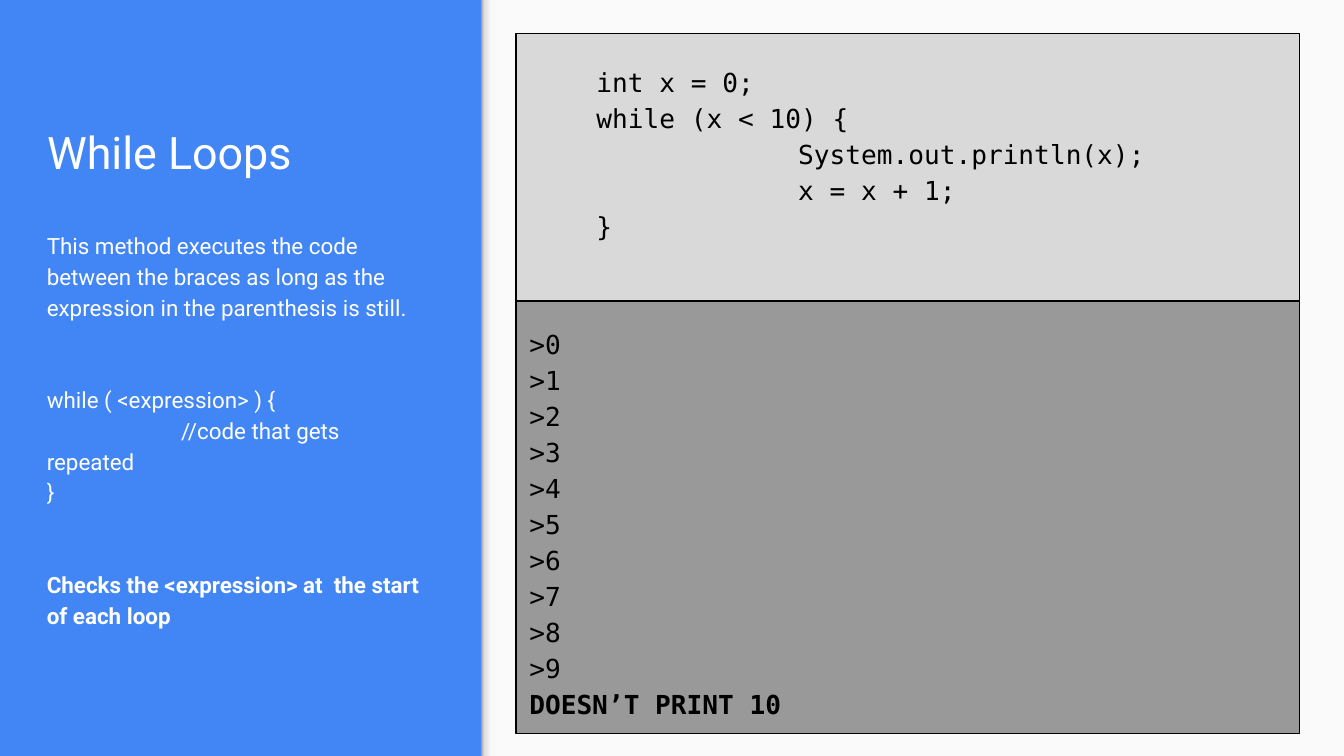
from lxml.etree import SubElement
from pptx import Presentation
from pptx.dml.color import RGBColor
from pptx.enum.shapes import MSO_SHAPE
from pptx.enum.text import MSO_ANCHOR, PP_ALIGN
from pptx.oxml.ns import qn
from pptx.util import Inches, Pt

BLUE, PAPER, WHITE, BLACK = "4285F4", "FAFAFA", "FFFFFF", "000000"
CODE_GREY, OUTPUT_GREY = "D9D9D9", "999999"
EDGE_STOPS = [(0, "999999"), (20, "DEDEDE"), (64, "F9F9F9"), (100, "F9F9F9")]
SANS, MONO = "Roboto", "DejaVu Sans Mono"
WIDTH = 10
HEIGHT = WIDTH * 9 / 16
SPLIT = 3.58


def rgb(value):
    return RGBColor.from_string(value)


def add_rect(slide, box, fill, line=None):
    rect = slide.shapes.add_shape(MSO_SHAPE.RECTANGLE, *map(Inches, box))
    rect.shadow.inherit = False
    rect.fill.solid()
    rect.fill.fore_color.rgb = rgb(fill)
    if line:
        rect.line.color.rgb = rgb(line)
        rect.line.width = Pt(0.75)
    else:
        rect.line.fill.background()
    return rect


def set_frame(frame, anchor, top=0.1, bottom=0.1):
    frame.word_wrap = True
    frame.vertical_anchor = anchor
    frame.margin_left = frame.margin_right = Inches(0.1)
    frame.margin_top, frame.margin_bottom = Inches(top), Inches(bottom)


def format_paragraph(paragraph, font, size, color, bold=False, spacing=1.15):
    paragraph.alignment = PP_ALIGN.LEFT
    paragraph.line_spacing = spacing
    for run in paragraph.runs:
        run.font.name = font
        run.font.size = Pt(size)
        run.font.bold = bold
        run.font.color.rgb = rgb(color)


def set_indent(paragraph, left=0, first=0):
    properties = paragraph._p.get_or_add_pPr()
    properties.set("marL", str(Inches(left)))
    properties.set("indent", str(Inches(first)))


def next_paragraph(frame, index):
    return frame.add_paragraph() if index else frame.paragraphs[0]


def add_background(slide):
    slide.background.fill.solid()
    slide.background.fill.fore_color.rgb = rgb(BLUE)
    add_rect(slide, (SPLIT, 0, WIDTH - SPLIT, HEIGHT), PAPER)

    # Soft shade along the edge of the paper
    edge = add_rect(slide, (SPLIT, 0, 0.12, HEIGHT), PAPER)
    edge.fill.gradient()
    edge.fill.gradient_angle = 0
    stops = edge._element.spPr.find(qn("a:gradFill")).find(qn("a:gsLst"))
    for stop in list(stops):
        stops.remove(stop)
    for position, color in EDGE_STOPS:
        stop = SubElement(stops, qn("a:gs"), pos=str(position * 1000))
        SubElement(stop, qn("a:srgbClr"), val=color)


def add_explanation(slide, box):
    left, top, width, height = box
    title_height, body_top = 1.04, 1.21

    # Title
    title = slide.shapes.title
    title.left, title.top = Inches(left), Inches(top)
    title.width, title.height = Inches(width), Inches(title_height)
    title.text_frame.text = "While Loops"
    set_frame(title.text_frame, MSO_ANCHOR.BOTTOM)
    format_paragraph(title.text_frame.paragraphs[0], SANS, 24, WHITE, spacing=1)

    # Description: text, space before, first-line indent, bold
    description = [
        ("This method executes the code between the braces as long as the "
         "expression in the parenthesis is still.", 0, 0, False),
        ("while ( <expression> ) {", 32.5, 0, False),
        ("//code that gets repeated", 0, 1, False),
        ("}", 0, 0, False),
        ("Checks the <expression> at  the start of each loop", 33, 0, True),
    ]
    body = slide.shapes.add_textbox(Inches(left), Inches(top + body_top),
                                    Inches(width), Inches(height - body_top))
    set_frame(body.text_frame, MSO_ANCHOR.TOP)
    for index, (text, before, first, bold) in enumerate(description):
        paragraph = next_paragraph(body.text_frame, index)
        paragraph.text = text
        paragraph.space_before = Pt(before)
        set_indent(paragraph, first=first)
        format_paragraph(paragraph, SANS, 12, WHITE, bold)


def add_console(slide, box, fill, lines, top, bottom):
    """Each line is (text, left indent, bold)."""
    console = add_rect(slide, box, fill, BLACK)
    set_frame(console.text_frame, MSO_ANCHOR.MIDDLE, top, bottom)
    for index, (text, indent, bold) in enumerate(lines):
        paragraph = next_paragraph(console.text_frame, index)
        paragraph.text = text
        set_indent(paragraph, left=indent)
        format_paragraph(paragraph, MONO, 14, BLACK, bold)


def add_example(slide, box):
    left, top, width, height = box
    code_height = 1.99
    code = [
        ("int x = 0;", 0.5, False),
        ("while (x < 10) {", 0.5, False),
        ("System.out.println(x);", 2, False),
        ("x = x + 1;", 2, False),
        ("}", 0.5, False),
    ]
    output = [(f">{number}", 0, False) for number in range(10)]
    output.append(("DOESN’T PRINT 10", 0, True))

    add_console(slide, (left, top, width, code_height), CODE_GREY, code,
                top=0.1, bottom=0.33)
    add_console(slide, (left, top + code_height, width, height - code_height),
                OUTPUT_GREY, output, top=0.11, bottom=0.05)


def main():
    deck = Presentation()
    deck.slide_width, deck.slide_height = Inches(WIDTH), Inches(HEIGHT)
    slide = deck.slides.add_slide(deck.slide_layouts[5])
    add_background(slide)
    add_explanation(slide, (0.25, 0.39, 3.07, 4.67))
    add_example(slide, (3.84, 0.25, 5.83, 5.21))
    deck.save("out.pptx")


if __name__ == "__main__":
    main()
